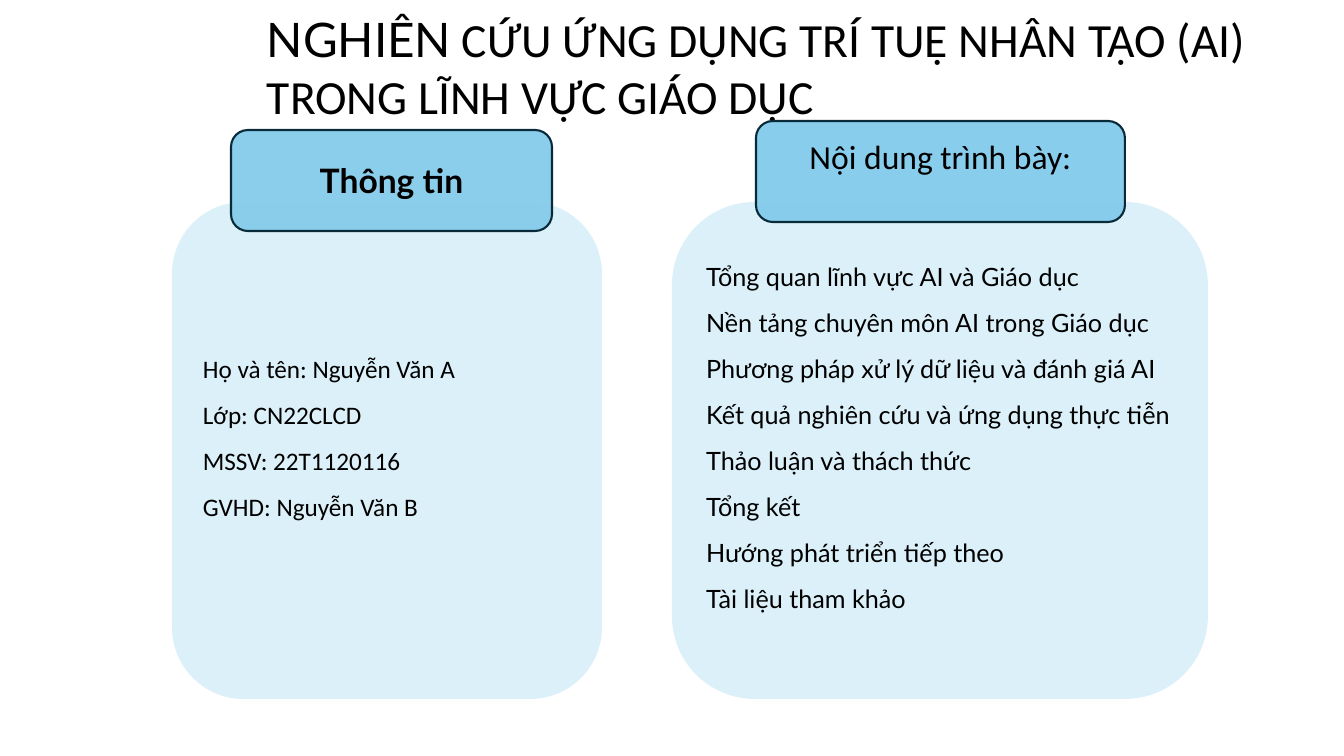
from lxml.etree import SubElement
from pptx import Presentation
from pptx.dml.color import RGBColor
from pptx.enum.shapes import MSO_SHAPE
from pptx.enum.text import MSO_ANCHOR, MSO_AUTO_SIZE, PP_ALIGN
from pptx.oxml.ns import qn
from pptx.util import Pt

TITLE = [
    ("NGHIÊN", "Lato"),
    (" CỨU ỨNG DỤNG TRÍ TUỆ NHÂN TẠO (AI) TRONG LĨNH VỰC GIÁO DỤC", "Calibri"),
]
TITLE_BOX = (257, 5, 1073, 126)

# Boxes are left, top, width, height in px; raise lifts the text off centre
COLUMNS = [
    dict(head="Thông tin", head_font="Lato", bold=True, alpha=93, raise_px=0,
         head_box=(231, 130, 321, 101), card_box=(172, 202, 430, 497),
         font="Calibri",
         lines=["Họ và tên: Nguyễn Văn A", "Lớp: CN22CLCD",
                "MSSV: 22T1120116", "GVHD: Nguyễn Văn B"]),
    dict(head="Nội dung trình bày:", head_font="Calibri", bold=False, alpha=95, raise_px=31,
         head_box=(756, 121, 369, 101), card_box=(672, 202, 536, 497),
         font="Lato",
         lines=["Tổng quan lĩnh vực AI và Giáo dục",
                "Nền tảng chuyên môn AI trong Giáo dục",
                "Phương pháp xử lý dữ liệu và đánh giá AI",
                "Kết quả nghiên cứu và ứng dụng thực tiễn",
                "Thảo luận và thách thức", "Tổng kết",
                "Hướng phát triển tiếp theo", "Tài liệu tham khảo"]),
]
CARD_RAISE = 31
INSET = 5
BLACK, CARD, HEAD, EDGE = "000000", "C1E5F5", "83CBEB", "092A39"


def px(n):
    return round(n * 914400 / 100.8)


def rgb(c):
    return RGBColor.from_string(c)


def style(font, name, size, bold=False):
    font.name, font.size, font.bold = name, Pt(size), bold
    font.color.rgb = rgb(BLACK)


def panel(box, color, alpha, raise_px):
    sp = s.shapes.add_shape(MSO_SHAPE.ROUNDED_RECTANGLE, *map(px, box))
    sp.shadow.inherit = False
    sp.fill.solid()
    sp.fill.fore_color.rgb = rgb(color)
    clr = sp.fill._xPr.find(qn("a:solidFill"))[0]
    SubElement(clr, qn("a:alpha")).set("val", str(alpha * 1000))
    tf = sp.text_frame
    tf.word_wrap = True
    tf.vertical_anchor = MSO_ANCHOR.MIDDLE
    tf.margin_bottom = px(INSET + raise_px)
    return sp


def write(tf, lines, name, size, align, bold=False):
    for i, line in enumerate(lines):
        p = tf.paragraphs[0] if i == 0 else tf.add_paragraph()
        p.text = line
        p.alignment = align
        style(p.font, name, size, bold)


prs = Presentation()
prs.slide_width, prs.slide_height = px(1344), px(756)
s = prs.slides.add_slide(prs.slide_layouts[6])

# Title
tf = s.shapes.add_textbox(*map(px, TITLE_BOX)).text_frame
tf.word_wrap = True
tf.auto_size = MSO_AUTO_SIZE.SHAPE_TO_FIT_TEXT
for text, name in TITLE:
    r = tf.paragraphs[0].add_run()
    r.text = text
    style(r.font, name, 34)

for col in COLUMNS:
    # Card with its list
    card = panel(col["card_box"], CARD, 57, CARD_RAISE)
    card.line.fill.background()
    write(card.text_frame, col["lines"], col["font"], 18, PP_ALIGN.LEFT)
    for p in card.text_frame.paragraphs:
        p.line_spacing, p.space_after = 1.15, Pt(8)

    # Heading tab over the card's top edge
    head = panel(col["head_box"], HEAD, col["alpha"], col["raise_px"])
    head.line.color.rgb = rgb(EDGE)
    head.line.width = Pt(1.5)
    write(head.text_frame, [col["head"]], col["head_font"], 24, PP_ALIGN.CENTER, col["bold"])

prs.save("out.pptx")
